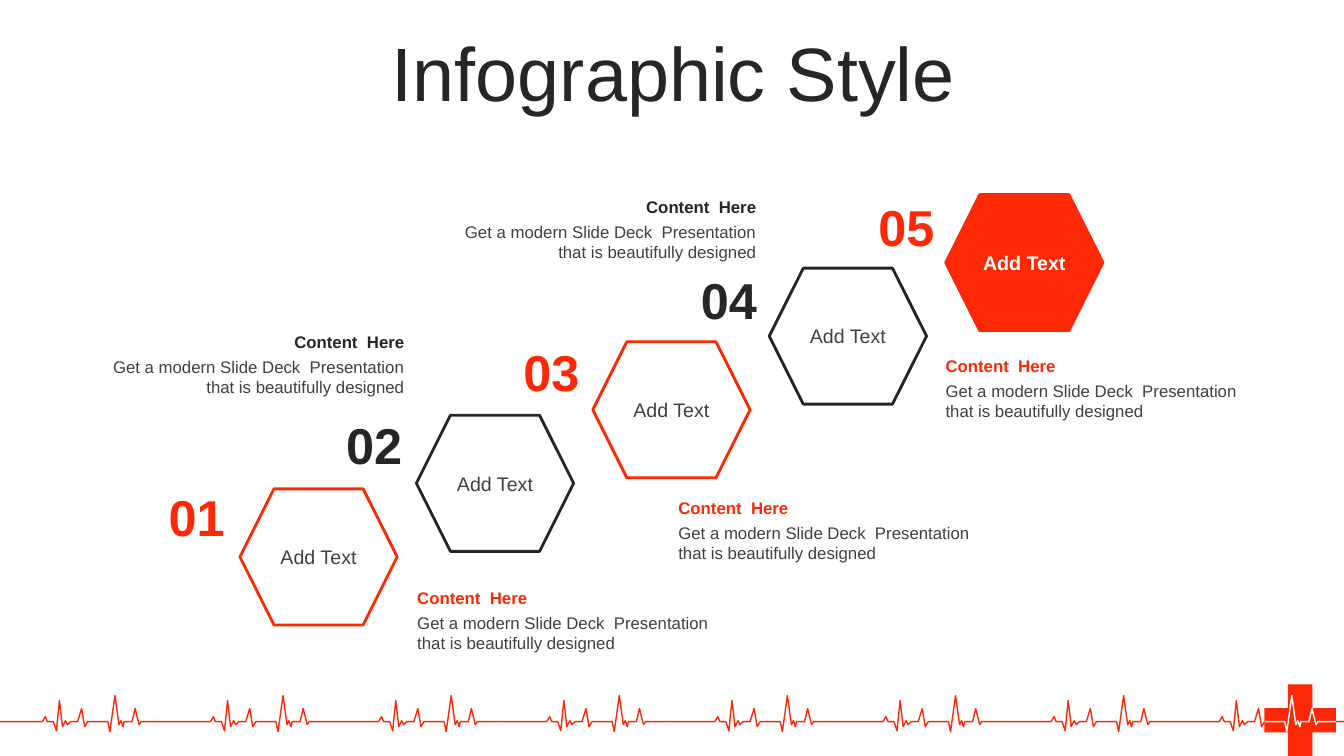
from dataclasses import dataclass

from pptx import Presentation
from pptx.dml.color import RGBColor
from pptx.enum.shapes import MSO_SHAPE
from pptx.enum.text import MSO_ANCHOR, MSO_AUTO_SIZE, PP_ALIGN
from pptx.shapes.autoshape import Shape
from pptx.slide import Slide
from pptx.text.text import TextFrame
from pptx.util import Inches, Pt

HEXAGON, CROSS = MSO_SHAPE.HEXAGON, MSO_SHAPE.CROSS
LEFT, CENTER, RIGHT = PP_ALIGN.LEFT, PP_ALIGN.CENTER, PP_ALIGN.RIGHT
TOP, MIDDLE = MSO_ANCHOR.TOP, MSO_ANCHOR.MIDDLE
NO_AUTOFIT = MSO_AUTO_SIZE.NONE


@dataclass(frozen=True)
class Theme:
    font: str = "Arial"
    red: RGBColor = RGBColor(0xFD, 0x29, 0x06)
    dark: RGBColor = RGBColor(0x26, 0x26, 0x26)
    gray: RGBColor = RGBColor(0x40, 0x40, 0x40)
    white: RGBColor = RGBColor(0xFF, 0xFF, 0xFF)
    title_size: int = 54
    number_size: int = 36
    label_size: int = 14
    caption_size: int = 12


@dataclass(frozen=True)
class Step:
    number: str
    accent: RGBColor
    caption_left: float
    caption_top: float
    caption_width: float
    caption_align: PP_ALIGN
    filled: bool = False


THEME = Theme()

STEPS = [
    Step("01", THEME.red, 4.04, 5.78, 3.36, LEFT),
    Step("02", THEME.dark, 0.85, 3.24, 3.26, RIGHT),
    Step("03", THEME.red, 6.63, 4.89, 3.36, LEFT),
    Step("04", THEME.dark, 4.34, 1.9, 3.26, RIGHT),
    Step("05", THEME.red, 9.28, 3.48, 3.25, LEFT, filled=True),
]
HEADING = "Content  Here"
DESCRIPTION = "Get a modern Slide Deck  Presentation that is beautifully designed"

BASELINE = 7.16
BEAT_COUNT = 8
BEAT_START = -0.01
BEAT_PITCH = 1.6675
BEAT = [
    (0, 0), (0.43, 0), (0.46, -0.05), (0.48, 0), (0.54, 0), (0.57, 0.09),
    (0.6, -0.21), (0.63, 0.05), (0.66, -0.01), (0.68, 0.03), (0.71, 0),
    (0.78, 0), (0.82, -0.13), (0.85, 0.05), (0.88, 0), (1.08, 0),
    (1.1, 0.1), (1.15, -0.26), (1.19, 0.03), (1.21, -0.01), (1.23, 0.05),
    (1.24, 0), (1.32, 0), (1.35, -0.13), (1.39, 0.03), (1.41, 0), (1.67, 0),
]
CROSS_BEAT = [point for point in BEAT if 0.88 <= point[0] <= 1.41] + [(1.59, 0)]


def write(frame: TextFrame, text: str, size: int, color: RGBColor,
          align: PP_ALIGN, anchor: MSO_ANCHOR, bold: bool = False) -> None:
    frame.auto_size = NO_AUTOFIT
    frame.vertical_anchor = anchor
    paragraph = frame.paragraphs[0]
    paragraph.alignment = align
    run = paragraph.add_run()
    run.text = text
    run.font.name = THEME.font
    run.font.size = Pt(size)
    run.font.bold = bold
    run.font.color.rgb = color


def add_text(slide: Slide, left: float, top: float, width: float, height: float) -> TextFrame:
    frame = slide.shapes.add_textbox(
        Inches(left), Inches(top), Inches(width), Inches(height)).text_frame
    frame.word_wrap = True
    return frame


def style(shape: Shape, line: RGBColor, weight: float, fill: RGBColor | None = None) -> None:
    shape.shadow.inherit = False
    shape.line.color.rgb = line
    shape.line.width = Pt(weight)
    if fill is None:
        shape.fill.background()
    else:
        shape.fill.solid()
        shape.fill.fore_color.rgb = fill


def add_beat(slide: Slide, left: float, beat: list[tuple[float, float]], color: RGBColor) -> None:
    points = [(Inches(left + x), Inches(BASELINE + y)) for x, y in beat]
    builder = slide.shapes.build_freeform(*points[0])
    builder.add_line_segments(points[1:], close=False)
    style(builder.convert_to_shape(), color, 1)


def add_footer(slide: Slide) -> None:
    cross = slide.shapes.add_shape(
        CROSS, Inches(12.54), Inches(6.79), Inches(0.71), Inches(0.71))
    cross.adjustments[0] = 0.33
    style(cross, THEME.red, 1, THEME.red)
    cross.line.fill.background()
    lefts = [BEAT_START + i * BEAT_PITCH for i in range(BEAT_COUNT)]
    for left in lefts:
        add_beat(slide, left, BEAT, THEME.red)
    add_beat(slide, lefts[-1], CROSS_BEAT, THEME.white)


def add_title(slide: Slide) -> None:
    title = slide.shapes.title
    title.left, title.top = Inches(0.35), Inches(0.37)
    title.width, title.height = Inches(12.66), Inches(0.79)
    write(title.text_frame, "Infographic Style", THEME.title_size, THEME.dark, CENTER, MIDDLE)
    title.text_frame.paragraphs[0].line_spacing = 0.9


def add_step(slide: Slide, index: int, step: Step) -> None:
    hexagon = slide.shapes.add_shape(
        HEXAGON, Inches(2.38 + 1.75 * index), Inches(4.85 - 0.73 * index),
        Inches(1.56), Inches(1.35))
    style(hexagon, step.accent, 2, step.accent if step.filled else None)
    label = hexagon.text_frame
    label.word_wrap = False
    write(label, "Add Text", THEME.label_size,
          THEME.white if step.filled else THEME.gray, CENTER, MIDDLE, step.filled)

    number = add_text(slide, 1.54 + 1.76 * index, 4.77 - 0.72 * index, 0.82, 0.71)
    write(number, step.number, THEME.number_size, step.accent, CENTER, MIDDLE, True)

    description = add_text(
        slide, step.caption_left, step.caption_top + 0.25, step.caption_width, 0.5)
    write(description, DESCRIPTION, THEME.caption_size, THEME.gray, step.caption_align, TOP)

    heading = add_text(slide, step.caption_left, step.caption_top, step.caption_width, 0.3)
    write(heading, HEADING, THEME.caption_size, step.accent, step.caption_align, MIDDLE, True)


def main() -> None:
    presentation = Presentation()
    presentation.slide_width = Inches(13.33)
    presentation.slide_height = Inches(7.5)
    slide = presentation.slides.add_slide(presentation.slide_layouts[5])
    add_footer(slide)
    add_title(slide)
    for index, step in enumerate(STEPS):
        add_step(slide, index, step)
    presentation.save("out.pptx")


if __name__ == "__main__":
    main()
